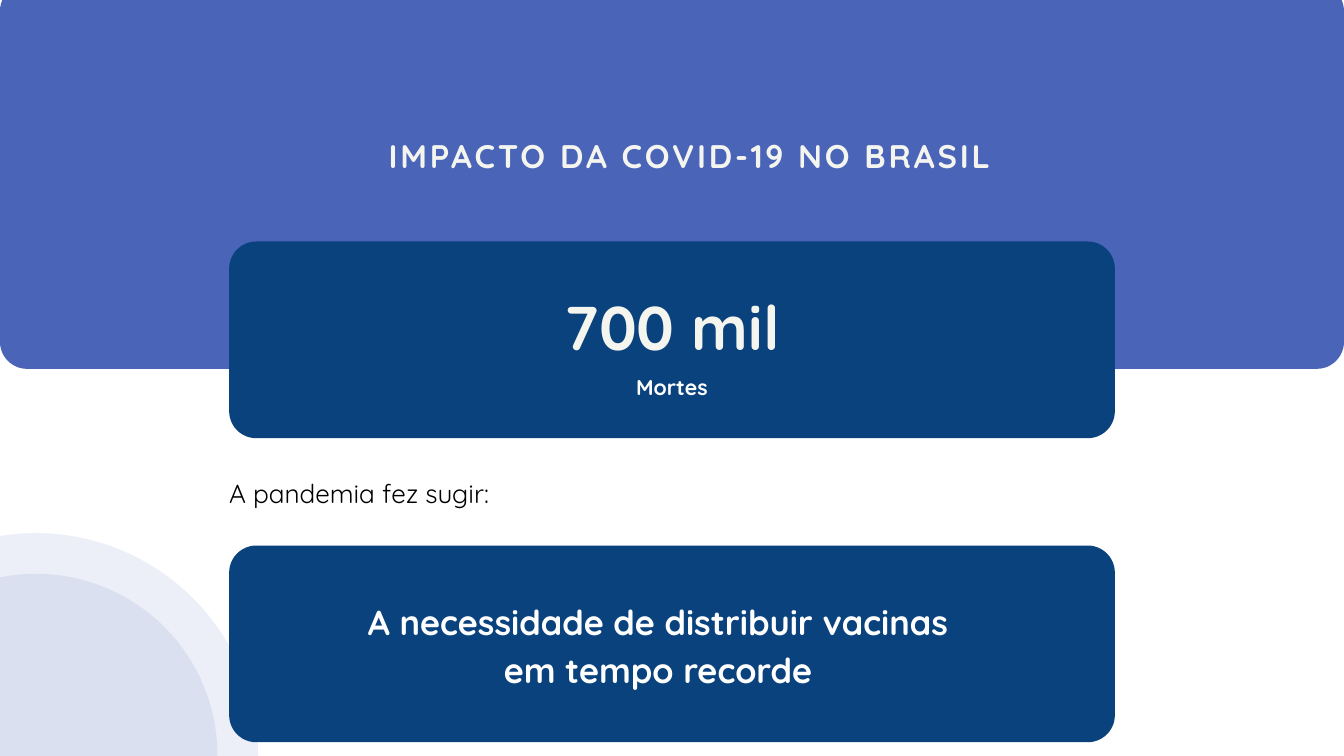
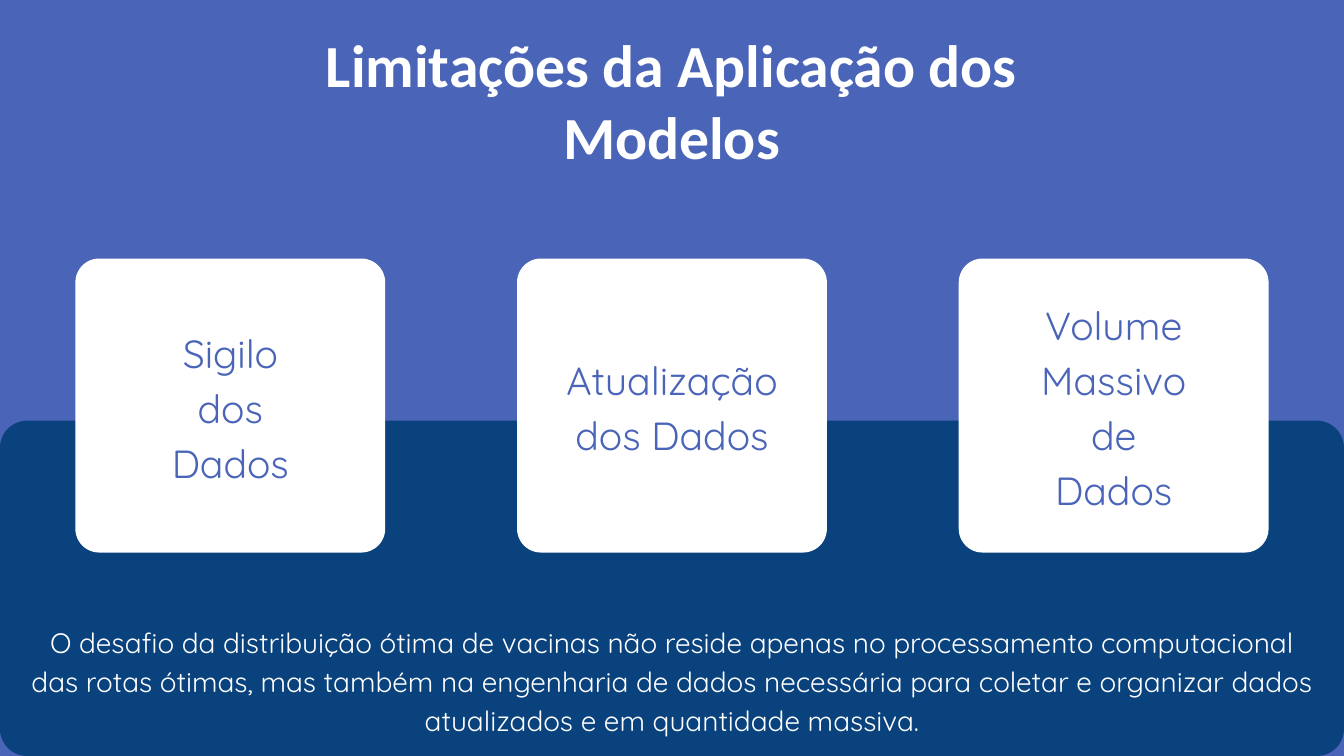
from dataclasses import dataclass

from lxml import etree
from pptx import Presentation
from pptx import util as u
from pptx.dml.color import RGBColor
from pptx.enum import shapes, text
from pptx.oxml import ns
from pptx.shapes.autoshape import Shape
from pptx.slide import Slide


@dataclass(frozen=True)
class Theme:
    blue: str = "4A64B8"
    navy: str = "09427D"
    white: str = "FFFFFF"
    cream: str = "F5F5EF"
    black: str = "000000"
    body_font: str = "Quicksand"
    title_font: str = "Calibri"
    title: int = 64
    figure: int = 66
    card: int = 42
    statement: int = 37
    heading: int = 35
    footer: int = 30
    lead: int = 28
    caption: int = 23
    leading: float = 1.4
    title_leading: float = 1.2
    radius: float = 29
    card_radius: float = 25.5


THEME = Theme()
WIDTH, HEIGHT = 1440, 810


@dataclass(frozen=True)
class Box:
    left: float
    top: float
    width: float
    height: float

    def lengths(self) -> list[u.Length]:
        return [u.Pt(v) for v in (self.left, self.top, self.width, self.height)]


@dataclass(frozen=True)
class Style:
    size: int
    color: str
    bold: bool = False
    align: text.PP_ALIGN = text.PP_ALIGN.CENTER
    font: str = THEME.body_font
    leading: float = THEME.leading
    tracking: float = 0


@dataclass(frozen=True)
class Card:
    label: str
    lines: int
    text_width: float


CARDS = [
    Card("Sigilo dos Dados", 3, 181),
    Card("Atualização dos Dados", 2, 233),
    Card("Volume Massivo de Dados", 4, 181),
]


def add_slide(presentation: Presentation, background: str) -> Slide:
    slide = presentation.slides.add_slide(presentation.slide_layouts[6])
    slide.background.fill.solid()
    slide.background.fill.fore_color.rgb = RGBColor.from_string(background)
    return slide


def add_filled(slide: Slide, kind: shapes.MSO_SHAPE, box: Box, color: str) -> Shape:
    shape = slide.shapes.add_shape(kind, *box.lengths())
    shape.shadow.inherit = False
    shape.fill.solid()
    shape.fill.fore_color.rgb = RGBColor.from_string(color)
    shape.line.fill.background()
    return shape


def add_panel(slide: Slide, box: Box, color: str, radius: float = THEME.radius) -> None:
    """Rounded rectangle whose corner radius is given in points."""
    panel = add_filled(slide, shapes.MSO_SHAPE.ROUNDED_RECTANGLE, box, color)
    panel.adjustments[0] = radius / min(box.width, box.height)


def add_halo(slide: Slide, center_x: float, center_y: float, radius: float) -> None:
    """Circle in the theme blue at 10% opacity."""
    box = Box(center_x - radius, center_y - radius, 2 * radius, 2 * radius)
    circle = add_filled(slide, shapes.MSO_SHAPE.OVAL, box, THEME.blue)
    color = circle.element.spPr.find(ns.qn("a:solidFill"))[0]
    etree.SubElement(color, ns.qn("a:alpha"), val="10000")


def add_text(slide: Slide, box: Box, content: str, style: Style) -> None:
    frame = slide.shapes.add_textbox(*box.lengths()).text_frame
    frame.margin_left = frame.margin_right = frame.margin_top = frame.margin_bottom = 0
    frame.word_wrap = True
    frame.auto_size = text.MSO_AUTO_SIZE.SHAPE_TO_FIT_TEXT
    paragraph = frame.paragraphs[0]
    paragraph.alignment = style.align
    paragraph.line_spacing = u.Pt(style.size * style.leading)
    run = paragraph.add_run()
    run.text = content
    run.font.name = style.font
    run.font.size = u.Pt(style.size)
    run.font.bold = style.bold
    run.font.color.rgb = RGBColor.from_string(style.color)
    if style.tracking:
        run.font._element.set("spc", str(int(style.tracking * 100)))


def build_impact(presentation: Presentation) -> None:
    slide = add_slide(presentation, THEME.white)
    panel_left, panel_width, panel_height = 245.5, 949, 210.75
    text_left, text_width = 404, 632

    add_panel(slide, Box(0, -17.25, WIDTH, 412.5), THEME.blue)
    for radius in (238, 194.5):
        add_halo(slide, 38.5, 809.25, radius)
    for top in (258.75, 584.5):
        add_panel(slide, Box(panel_left, top, panel_width, panel_height), THEME.navy)

    add_text(slide, Box(text_left, 139, 670, 96), "IMPACTO DA COVID-19 NO BRASIL",
             Style(THEME.heading, THEME.cream, bold=True, tracking=3))
    add_text(slide, Box(text_left, 296.5, text_width, 87), "700 mil",
             Style(THEME.figure, THEME.cream, bold=True))
    add_text(slide, Box(text_left, 396, text_width, 30), "Mortes",
             Style(THEME.caption, THEME.white, bold=True))
    add_text(slide, Box(panel_left, 506, 647, 39.5), "A pandemia fez sugir:",
             Style(THEME.lead, THEME.black, align=text.PP_ALIGN.LEFT))
    add_text(slide, Box(389, 636, text_width, 102),
             "A necessidade de distribuir vacinas em tempo recorde",
             Style(THEME.statement, THEME.white, bold=True))


def build_limits(presentation: Presentation) -> None:
    slide = add_slide(presentation, THEME.blue)
    margin, card_top, card_width, card_height = 80.75, 277, 332, 315
    step = (WIDTH - 2 * margin - card_width) / (len(CARDS) - 1)
    text_middle = 431
    label_style = Style(THEME.card, THEME.blue)

    add_panel(slide, Box(0, 450.75, WIDTH, 359.25), THEME.navy)
    add_text(slide, Box(300, 30, 839, 154), "Limitações da Aplicação dos Modelos",
             Style(THEME.title, THEME.white, bold=True, font=THEME.title_font,
                   leading=THEME.title_leading))
    for index, card in enumerate(CARDS):
        left = margin + index * step
        add_panel(slide, Box(left, card_top, card_width, card_height),
                  THEME.white, THEME.card_radius)
        height = card.lines * THEME.card * THEME.leading - 3
        label_box = Box(left + (card_width - card.text_width) / 2,
                        text_middle - height / 2, card.text_width, height)
        add_text(slide, label_box, card.label, label_style)
    add_text(slide, Box(33, 664, 1374, 125),
             "O desafio da distribuição ótima de vacinas não reside apenas no "
             "processamento computacional das rotas ótimas, mas também na engenharia "
             "de dados necessária para coletar e organizar dados atualizados e em "
             "quantidade massiva.",
             Style(THEME.footer, THEME.white))


def main() -> None:
    presentation = Presentation()
    presentation.slide_width = u.Pt(WIDTH)
    presentation.slide_height = u.Pt(HEIGHT)
    build_impact(presentation)
    build_limits(presentation)
    presentation.save("out.pptx")


if __name__ == "__main__":
    main()
